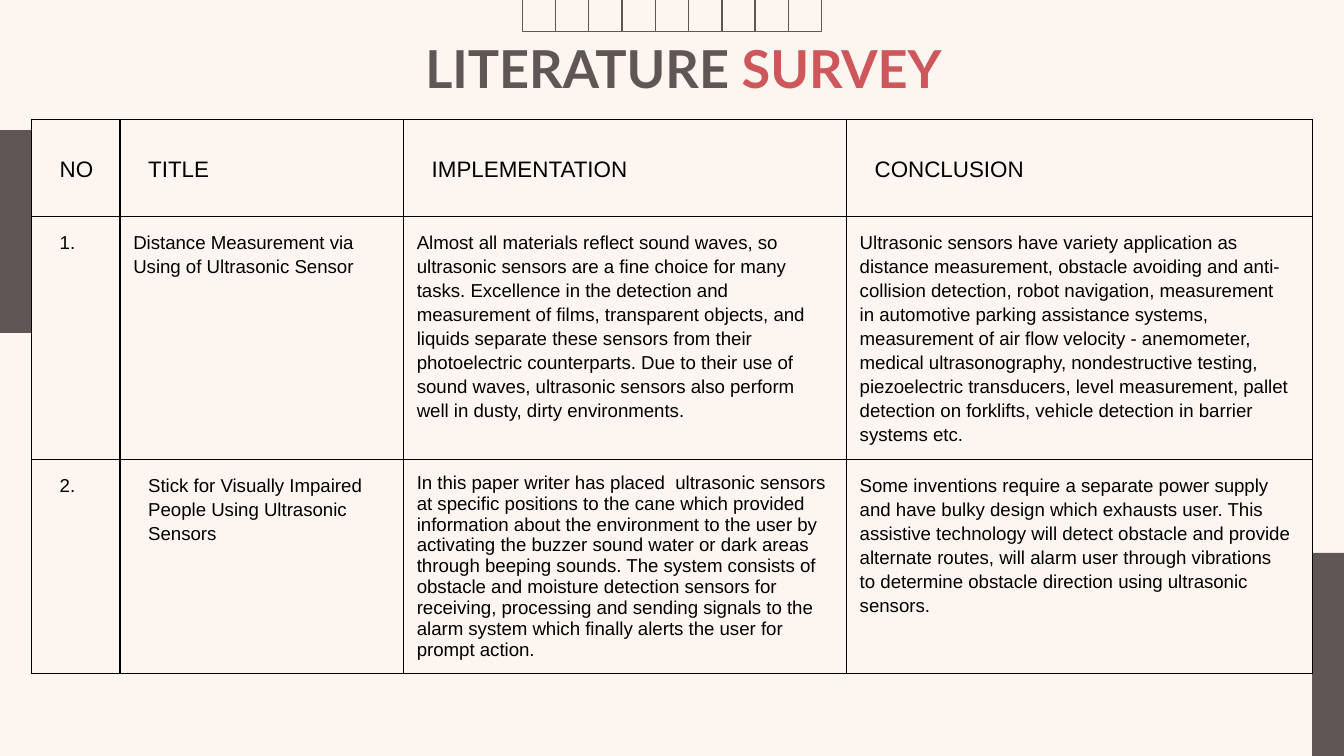
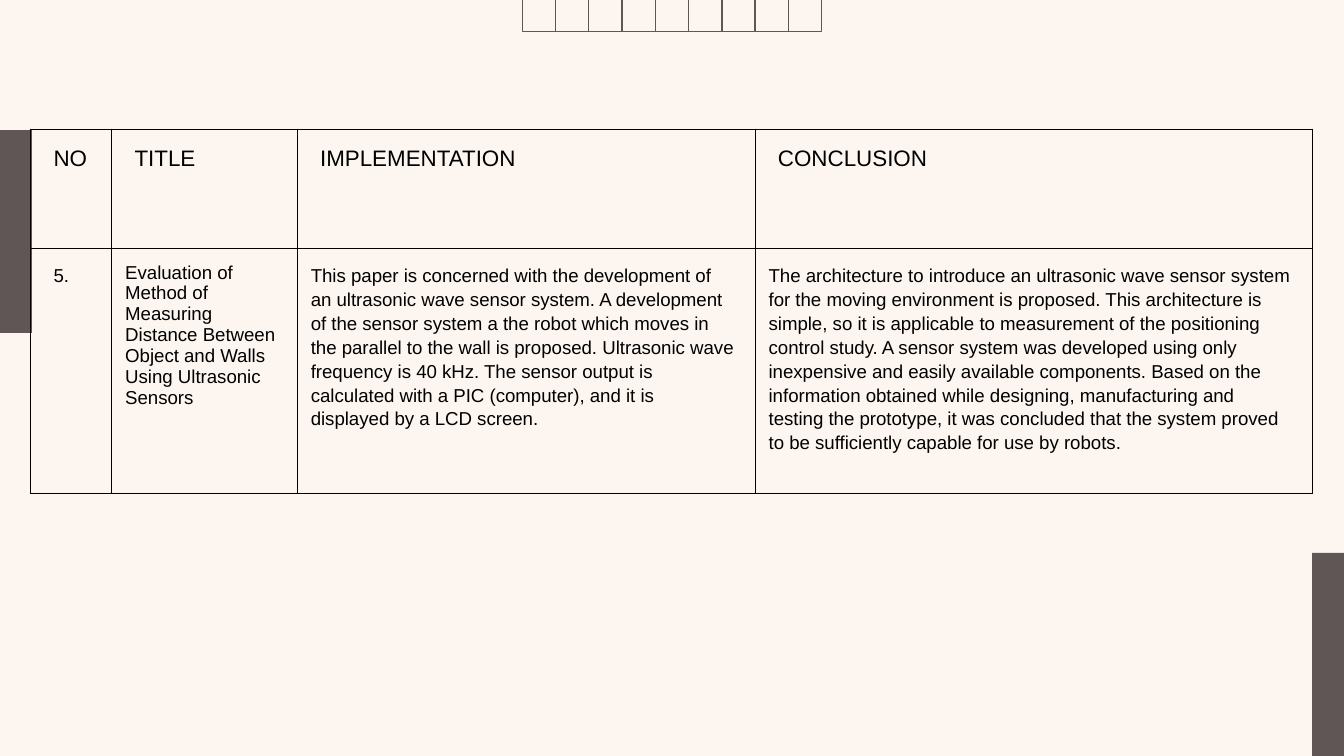
from lxml.etree import SubElement
from pptx import Presentation
from pptx.dml.color import RGBColor
from pptx.enum.shapes import MSO_SHAPE
from pptx.enum.text import MSO_ANCHOR, PP_ALIGN
from pptx.oxml.ns import qn
from pptx.util import Pt

CREAM = RGBColor(0xFD, 0xF6, 0xF0)
TAUPE = RGBColor(0x61, 0x56, 0x56)
CORAL = RGBColor(0xCE, 0x57, 0x5C)
BLACK = RGBColor(0x00, 0x00, 0x00)

SLIDE_WIDTH, SLIDE_HEIGHT = 720, 405
SQUARE_COUNT, SQUARE_SIZE, SQUARE_TOP = 9, 17.82, -1
BAND_WIDTH, BAND_HEIGHT = 17.1, 108.75
BANDS = [
    (SLIDE_WIDTH - BAND_WIDTH, SLIDE_HEIGHT - BAND_HEIGHT),
    (0, 69.7),
]

BODY_RIGHT_INDENT = 4.3
INSETS = {f"margin_{side}": Pt(7.2) for side in ("left", "top", "right", "bottom")}
SPACED = {"line_spacing": 1.15, "space_before": Pt(12), "space_after": Pt(12)}
LOOSE = {"line_spacing": 1.15}
SINGLE = {"line_spacing": 1.0}
SINGLE_AFTER = {"line_spacing": 1.0, "space_after": Pt(10)}

HEADERS = [(name, SPACED, True) for name in ("NO", "TITLE", "IMPLEMENTATION", "CONCLUSION")]

# Each cell is (text, paragraph format, indented)
SURVEYS = [
    {
        "title": [("LITERATURE ", TAUPE), ("SURVEY", CORAL)],
        "left": 16.8,
        "top": 64,
        "columns": [47.4, 151.9, 237.3, 249.6],
        "heights": [52, 90, 102],
        "indent": 8,
        "header_anchor": MSO_ANCHOR.MIDDLE,
        "rows": [
            [
                ("1.", SPACED, True),
                ("Distance Measurement via Using of Ultrasonic Sensor", LOOSE, False),
                ("Almost all materials reflect sound waves, so ultrasonic sensors are a fine "
                 "choice for many tasks. Excellence in the detection and measurement of films, "
                 "transparent objects, and liquids separate these sensors from their "
                 "photoelectric counterparts. Due to their use of sound waves, ultrasonic "
                 "sensors also perform well in dusty, dirty environments.", SPACED, False),
                ("Ultrasonic sensors have variety application as distance measurement, obstacle "
                 "avoiding and anti-collision detection, robot navigation, measurement in "
                 "automotive parking assistance systems, measurement of air flow velocity - "
                 "anemometer, medical ultrasonography, nondestructive testing, piezoelectric "
                 "transducers, level measurement, pallet detection on forklifts, vehicle "
                 "detection in barrier systems etc.", SPACED, False),
            ],
            [
                ("2.", SPACED, True),
                ("Stick for Visually Impaired People Using Ultrasonic Sensors", SPACED, True),
                ("In this paper writer has placed  ultrasonic sensors at specific positions to "
                 "the cane which provided information about the environment to the user by "
                 "activating the buzzer sound water or dark areas through beeping sounds. The "
                 "system consists of obstacle and moisture detection sensors for receiving, "
                 "processing and sending signals to the alarm system which finally alerts the "
                 "user for prompt action.", SINGLE, False),
                ("Some inventions require a separate power supply and have bulky design which "
                 "exhausts user. This assistive technology will detect obstacle and provide "
                 "alternate routes, will alarm user through vibrations to determine obstacle "
                 "direction using ultrasonic sensors.", SPACED, False),
            ],
        ],
    },
    {
        "title": [],
        "left": 16.5,
        "top": 69.3,
        "columns": [43.4, 99.4, 245.3, 298.7],
        "heights": [64, 131],
        "indent": 5,
        "header_anchor": MSO_ANCHOR.TOP,
        "rows": [
            [
                ("5.", SPACED, True),
                ("Evaluation of Method of Measuring Distance Between Object and Walls Using "
                 "Ultrasonic Sensors", SINGLE_AFTER, False),
                ("This paper is concerned with the development of an ultrasonic wave sensor "
                 "system. A development of the sensor system a the robot which moves in the "
                 "parallel to the wall is proposed. Ultrasonic wave frequency is 40 kHz. The "
                 "sensor output is calculated with a PIC (computer), and it is displayed by a "
                 "LCD screen.", SPACED, False),
                ("The architecture to introduce an ultrasonic wave sensor system for the moving "
                 "environment is proposed. This architecture is simple, so it is applicable to "
                 "measurement of the positioning control study. A sensor system was developed "
                 "using only inexpensive and easily available components. Based on the "
                 "information obtained while designing, manufacturing and testing the prototype, "
                 "it was concluded that the system proved to be sufficiently capable for use by "
                 "robots.", SPACED, False),
            ],
        ],
    },
]


def apply_format(target, values):
    for name, value in values.items():
        setattr(target, name, value)


def add_run(paragraph, text, color, font_format):
    run = paragraph.add_run()
    run.text = text
    run.font.color.rgb = color
    apply_format(run.font, font_format)


presentation = Presentation()
presentation.slide_width = Pt(SLIDE_WIDTH)
presentation.slide_height = Pt(SLIDE_HEIGHT)
background = presentation.slide_master.background.fill
background.solid()
background.fore_color.rgb = CREAM

for survey in SURVEYS:
    slide = presentation.slides.add_slide(presentation.slide_layouts[6])

    # Row of squares centred on the top edge
    squares = slide.shapes.add_group_shape()
    squares_left = (SLIDE_WIDTH - SQUARE_COUNT * SQUARE_SIZE) / 2
    for index in range(SQUARE_COUNT):
        square = squares.shapes.add_shape(
            MSO_SHAPE.RECTANGLE, Pt(squares_left + index * SQUARE_SIZE), Pt(SQUARE_TOP),
            Pt(SQUARE_SIZE), Pt(SQUARE_SIZE))
        square.shadow.inherit = False
        square.fill.background()
        square.line.color.rgb = TAUPE
        square.line.width = Pt(0.7)

    for left, top in BANDS:
        band = slide.shapes.add_shape(
            MSO_SHAPE.RECTANGLE, Pt(left), Pt(top), Pt(BAND_WIDTH), Pt(BAND_HEIGHT))
        band.shadow.inherit = False
        band.fill.solid()
        band.fill.fore_color.rgb = TAUPE
        band.line.fill.background()

    rows = [HEADERS] + survey["rows"]
    table = slide.shapes.add_table(
        len(rows), len(HEADERS), Pt(survey["left"]), Pt(survey["top"]),
        Pt(sum(survey["columns"])), Pt(sum(survey["heights"]))).table
    apply_format(table, {"first_row": False, "horz_banding": False})
    for column, width in zip(table.columns, survey["columns"]):
        column.width = Pt(width)

    for row_index, (row, height) in enumerate(zip(rows, survey["heights"])):
        table.rows[row_index].height = Pt(height)
        is_header = row_index == 0
        for column_index, (text, paragraph_format, indented) in enumerate(row):
            cell = table.cell(row_index, column_index)
            apply_format(cell, INSETS)
            cell.vertical_anchor = survey["header_anchor"] if is_header else MSO_ANCHOR.TOP
            properties = cell._tc.get_or_add_tcPr()
            for side in ("lnL", "lnR", "lnT", "lnB"):
                border = SubElement(properties, qn(f"a:{side}"), w=str(Pt(0.79)))
                border_fill = SubElement(border, qn("a:solidFill"))
                SubElement(border_fill, qn("a:srgbClr"), val=str(BLACK))
            cell.fill.background()
            paragraph = cell.text_frame.paragraphs[0]
            apply_format(paragraph, paragraph_format)
            paragraph_properties = paragraph._p.get_or_add_pPr()
            if indented:
                paragraph_properties.set("marL", str(Pt(survey["indent"])))
            elif paragraph_format is SPACED:
                paragraph_properties.set("marR", str(Pt(BODY_RIGHT_INDENT)))
            add_run(paragraph, text, BLACK,
                    {"name": "Arial", "size": Pt(12 if is_header else 10)})

    if survey["title"]:
        title = slide.shapes.add_textbox(Pt(62.3), Pt(8.6), Pt(607.7), Pt(55.4))
        apply_format(title.text_frame,
                     {**INSETS, "word_wrap": True, "vertical_anchor": MSO_ANCHOR.MIDDLE})
        paragraph = title.text_frame.paragraphs[0]
        paragraph.alignment = PP_ALIGN.CENTER
        for text, color in survey["title"]:
            add_run(paragraph, text, color, {"name": "Lato", "size": Pt(28), "bold": True})

presentation.save("out.pptx")
